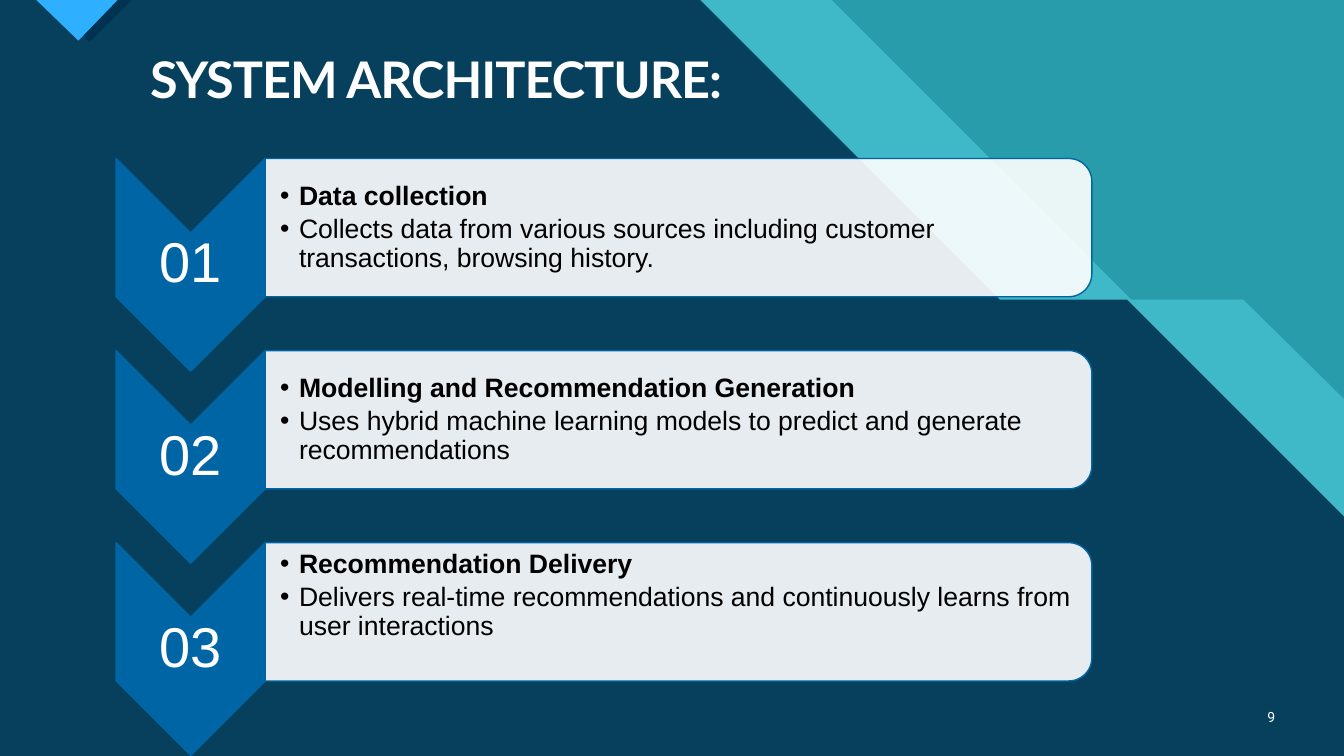
"""Build the system architecture slide with its three numbered steps."""
from dataclasses import dataclass

from lxml.etree import SubElement
from pptx import Presentation
from pptx.dml.color import RGBColor as Rgb
from pptx.enum.shapes import MSO_SHAPE as Shape
from pptx.enum.text import MSO_ANCHOR as Anchor, MSO_AUTO_SIZE as AutoSize, PP_ALIGN as Align
from pptx.oxml.ns import qn
from pptx.util import Pt


@dataclass(frozen=True)
class Theme:
    """Colours, fonts and type sizes of the slide."""
    teal: str = "299CAB"
    aqua: str = "47C3D3"
    navy: str = "003352"
    sky: str = "2FAFFF"
    blue: str = "0065A4"
    white: str = "FFFFFF"
    black: str = "000000"
    title_font: str = "Lato"
    body_font: str = "Arial"
    page_font: str = "Roboto"
    title_size: float = 36
    number_size: float = 40
    body_size: float = 19
    page_size: float = 10


THEME = Theme()
WIDTH, HEIGHT = 960, 540
STEPS = [
    ("01", "Data collection",
     "Collects data from various sources including customer transactions, browsing history.",
     Anchor.MIDDLE),
    ("02", "Modelling and Recommendation Generation",
     "Uses hybrid machine learning models to predict and generate recommendations",
     Anchor.MIDDLE),
    ("03", "Recommendation Delivery",
     "Delivers real-time recommendations and continuously learns from user interactions",
     Anchor.TOP),
]


def paint(shape, colour, opacity=100, outline=None):
    """Fill a shape and give it an outline or none."""
    shape.shadow.inherit = False
    shape.fill.solid()
    shape.fill.fore_color.rgb = Rgb.from_string(colour)
    if opacity < 100:
        tint = next(shape.fill._xPr.iter(qn("a:srgbClr")))
        SubElement(tint, qn("a:alpha"), val=str(opacity * 1000))
    if outline:
        shape.line.color.rgb = Rgb.from_string(outline)
        shape.line.width = Pt(1)
    else:
        shape.line.fill.background()


def add_outline(slide, points, colour, opacity=100):
    """Draw a closed polygon from points."""
    builder = slide.shapes.build_freeform(*points[0], scale=Pt(1))
    builder.add_line_segments(points[1:], close=True)
    paint(builder.convert_to_shape(), colour, opacity)


def add_turned(slide, kind, box, colour, opacity=100):
    """Add a preset turned by a quarter so that it fills the box."""
    left, top, width, height = box
    shape = slide.shapes.add_shape(
        kind, Pt(left + (width - height) / 2), Pt(top + (height - width) / 2),
        Pt(height), Pt(width))
    shape.rotation = 90
    paint(shape, colour, opacity, THEME.blue)


def add_frame(slide, box, anchor, insets):
    """Add a wrapping text box and return its text frame."""
    frame = slide.shapes.add_textbox(*map(Pt, box)).text_frame
    frame.word_wrap = True
    frame.vertical_anchor = anchor
    frame.margin_left, frame.margin_top, frame.margin_right, frame.margin_bottom = map(Pt, insets)
    return frame


def write(paragraph, text, font, size, colour, bold=False):
    """Append one formatted run to a paragraph."""
    run = paragraph.add_run()
    run.text = text
    run.font.name = font
    run.font.size = Pt(size)
    run.font.bold = bold
    run.font.color.rgb = Rgb.from_string(colour)
    return run


def add_backdrop(slide, width, height):
    """Lay the teal bands, the navy field and the corner triangle."""
    slide.background.fill.solid()
    slide.background.fill.fore_color.rgb = Rgb.from_string(THEME.teal)
    bands = [(594, 808, 888.5, 285, THEME.aqua, 74), (500.5, 714.5, 805, 369, THEME.navy, 90)]
    for top_edge, notch, ledge, side, colour, opacity in bands:
        add_outline(slide, [(0, 0), (top_edge, 0), (notch, 214), (ledge, 214),
                            (width, side), (width, height), (0, height)], colour, opacity)
    for left, depth, colour in [(34.5, 30, THEME.navy), (26.5, 29, THEME.sky)]:
        add_outline(slide, [(left, 0), (left + depth, depth), (left + 2 * depth, 0)], colour)


def add_heading(slide, box):
    """Move and format the title placeholder."""
    heading = slide.shapes.title
    slide.shapes._spTree.append(heading._element)
    heading.left, heading.top, heading.width, heading.height = map(Pt, box)
    frame = heading.text_frame
    frame.auto_size = AutoSize.NONE
    frame.vertical_anchor = Anchor.TOP
    paragraph = frame.paragraphs[0]
    paragraph.alignment = Align.LEFT
    paragraph.line_spacing = 0.9
    run = write(paragraph, "SYSTEM ARCHITECTURE:", THEME.title_font, THEME.title_size,
                THEME.white, True)
    run.font._element.set("spc", "-70")


def add_step(slide, box, number, name, detail, anchor):
    """Place one numbered chevron and its panel in the box."""
    left, top, width, height = box
    arrow_width, panel_height = 106.6, 98.8
    panel_left, panel_width = left + arrow_width, width - arrow_width
    add_turned(slide, Shape.CHEVRON, (left, top, arrow_width, height), THEME.blue)
    label = add_frame(slide, (left, top + arrow_width / 2, arrow_width, 45.4),
                      Anchor.MIDDLE, [2] * 4).paragraphs[0]
    label.alignment = Align.CENTER
    label.line_spacing = 0.9
    write(label, number, THEME.body_font, THEME.number_size, THEME.white)
    add_turned(slide, Shape.ROUND_2_SAME_RECTANGLE,
               (panel_left, top, panel_width, panel_height), THEME.white, 90)
    summary = add_frame(slide, (panel_left, top + 4.8, panel_width - 4.8, panel_height - 9.6),
                        anchor, (10.6, 1, 1, 1))
    for paragraph, text, bold in [(summary.paragraphs[0], name, True),
                                  (summary.add_paragraph(), detail, False)]:
        paragraph.line_spacing = 0.9
        paragraph.space_after = Pt(2.85)
        properties = paragraph._p.get_or_add_pPr()
        properties.set("marL", str(Pt(13.5)))
        properties.set("indent", str(Pt(-13.5)))
        SubElement(properties, qn("a:buFont"), typeface=THEME.body_font)
        SubElement(properties, qn("a:buChar"), char="•")
        write(paragraph, text, THEME.body_font, THEME.body_size, THEME.black, bold)


def add_steps(slide, box, pitch):
    """Stack the steps down the box at an equal pitch."""
    left, top, width, height = box
    for row, step in enumerate(STEPS):
        add_step(slide, (left, top + row * pitch, width, height - pitch * (len(STEPS) - 1)), *step)


def add_page_number(slide, box):
    """Write the page number at the lower right."""
    page = add_frame(slide, box, Anchor.MIDDLE, (7.2, 3.6, 7.2, 3.6)).paragraphs[0]
    page.alignment = Align.RIGHT
    write(page, "9", THEME.page_font, THEME.page_size, THEME.white)


def main():
    """Build and save the slide."""
    deck = Presentation()
    deck.slide_width, deck.slide_height = Pt(WIDTH), Pt(HEIGHT)
    slide = deck.slides.add_slide(deck.slide_layouts[5])
    add_backdrop(slide, WIDTH, HEIGHT)
    add_heading(slide, (100, 36, 860, 46.8))
    add_page_number(slide, (886.3, 497.5, 31.7, 28.8))
    add_steps(slide, (82.9, 113.2, 697, 426.4), 137.2)
    deck.save("out.pptx")


if __name__ == "__main__":
    main()
